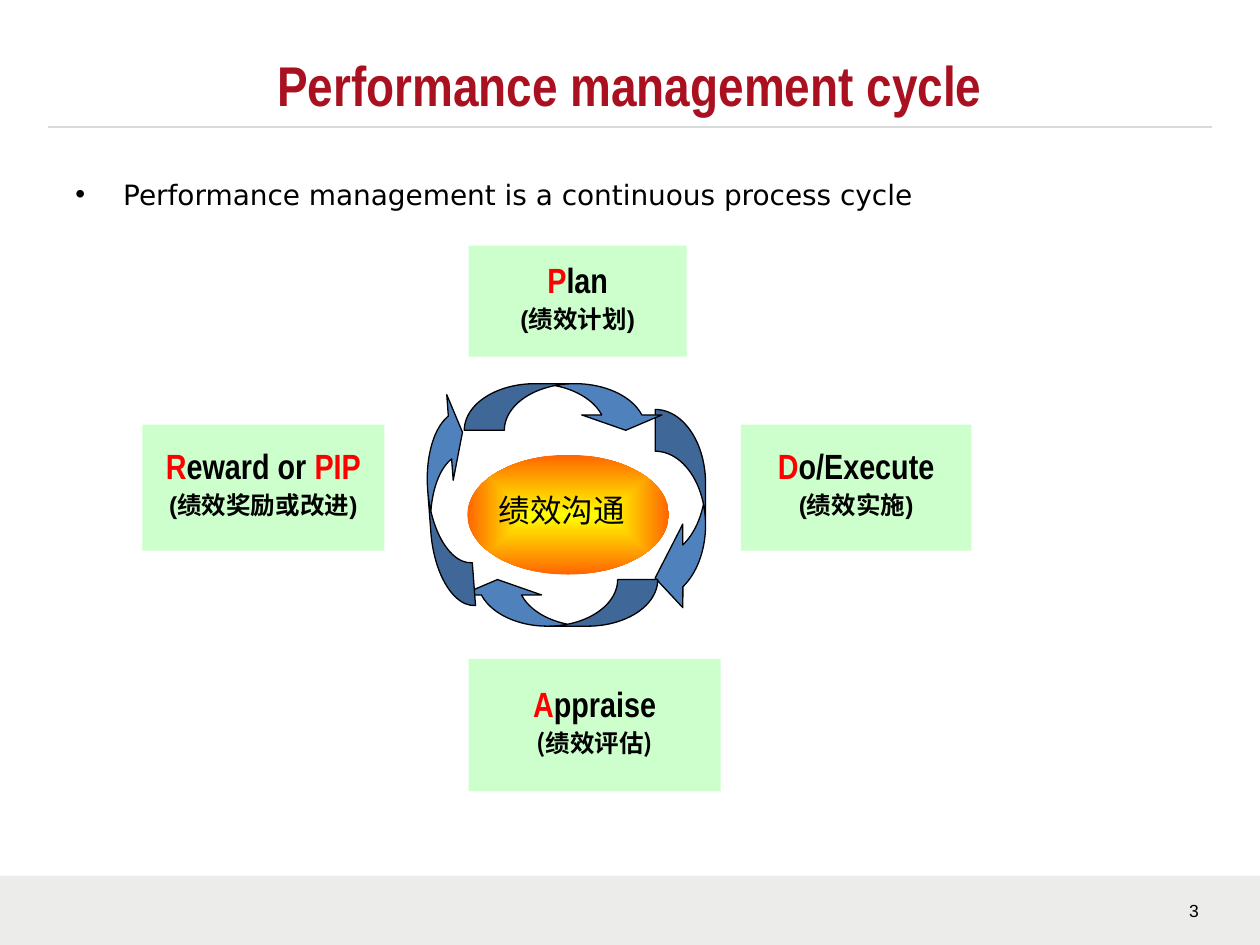
from lxml import etree
from pptx import Presentation
from pptx.dml.color import RGBColor
from pptx.enum import shapes, text
from pptx.oxml.ns import qn
from pptx.util import Inches, Pt

BLACK, RED, GREEN, BLUE = "000000", "FF0000", "CCFFCC", "4F81BD"
HEAD_FONT, CJK_FONT = "Arial Narrow", "Noto Sans CJK SC"


def rgb(value):
    """Turn a hex string into a colour."""
    return RGBColor.from_string(value)


def add_run(p, words, size, font="Arial", color=BLACK, bold=False, ea=CJK_FONT):
    """Append a formatted run to a paragraph."""
    r = p.add_run()
    r.text = words
    f = r.font
    f.size, f.name, f.bold = Pt(size), font, bold
    f.color.rgb = rgb(color)
    etree.SubElement(r._r.get_or_add_rPr(), qn("a:ea"), typeface=ea)


def add_text(s, box, words, size, align=None, anchor=text.MSO_ANCHOR.TOP, **fmt):
    """Add a one-paragraph text box and return the paragraph."""
    tf = s.shapes.add_textbox(*map(Inches, box)).text_frame
    tf.word_wrap = True
    tf.vertical_anchor = anchor
    p = tf.paragraphs[0]
    p.alignment = align
    add_run(p, words, size, **fmt)
    return p


def add_bullet(p, indent):
    """Give a paragraph a hanging bullet."""
    pPr = p._p.get_or_add_pPr()
    pPr.set("marL", str(Inches(indent)))
    pPr.set("indent", str(-Inches(indent)))
    etree.SubElement(pPr, qn("a:buFont"), typeface="Arial")
    etree.SubElement(pPr, qn("a:buChar"), char="•")


def add_shape(s, kind, box, fill=None, line=None):
    """Add a preset shape without shadow."""
    sp = s.shapes.add_shape(kind, *map(Inches, box))
    sp.shadow.inherit = False
    if fill:
        sp.fill.solid()
        sp.fill.fore_color.rgb = rgb(fill)
    if line:
        sp.line.color.rgb = rgb(line)
        sp.line.width = Pt(0.75)
    else:
        sp.line.fill.background()
    return sp


def add_rule(s, x1, x2, y, color):
    """Add a thin horizontal line."""
    ln = s.shapes.add_connector(shapes.MSO_CONNECTOR.STRAIGHT,
                                *map(Inches, (x1, y, x2, y)))
    ln.line.color.rgb = rgb(color)
    ln.line.width = Pt(1)
    etree.SubElement(ln._element.spPr, qn("a:effectLst"))


def add_hub(s, box, inner, outer):
    """Add an ellipse whose gradient runs from its centre outwards."""
    sp = add_shape(s, shapes.MSO_SHAPE.OVAL, box)
    sp.fill.gradient()
    for stop, pos, color in zip(sp.fill.gradient_stops, (0, 1), (inner, outer)):
        stop.position = pos
        stop.color.rgb = rgb(color)
    grad = sp._element.spPr.find(qn("a:gradFill"))
    grad.remove(grad.find(qn("a:lin")))
    shade = etree.SubElement(grad, qn("a:path"), path="shape")
    etree.SubElement(shade, qn("a:fillToRect"),
                     {side: "50000" for side in "ltrb"})


def add_arrow(s, box, rotation, adjustments):
    """Add one curved arrow of the cycle."""
    sp = add_shape(s, shapes.MSO_SHAPE.CURVED_LEFT_ARROW, box, BLUE, BLACK)
    sp.rotation = rotation
    for i, value in enumerate(adjustments):
        sp.adjustments[i] = value


def add_stage(s, box, heading, caption, font="Arial"):
    """Add a green stage box with a two-colour heading and a caption."""
    tf = add_shape(s, shapes.MSO_SHAPE.RECTANGLE, box, GREEN).text_frame
    tf.word_wrap = True
    tf.vertical_anchor = text.MSO_ANCHOR.MIDDLE
    tf.margin_left = tf.margin_right = Inches(0.14)
    tf.margin_top = tf.margin_bottom = Inches(0.17)
    for p, space in ((tf.paragraphs[0], 10), (tf.add_paragraph(), 7)):
        p.alignment = text.PP_ALIGN.CENTER
        p.line_spacing = 0.7
        p.space_before = Pt(space)
    for words, color in heading:
        add_run(tf.paragraphs[0], words, 20, HEAD_FONT, color, True)
    add_run(tf.paragraphs[1], caption, 14, font, bold=True)


def main():
    """Build the performance cycle slide."""
    prs = Presentation()
    prs.slide_width, prs.slide_height = Inches(10), Inches(7.5)
    s = prs.slides.add_slide(prs.slide_layouts[6])

    add_shape(s, shapes.MSO_SHAPE.RECTANGLE, (0, 6.95, 10, 0.55), "ECECEA")
    add_text(s, (9.34, 7.09, 0.6, 0.27), "3", 10)
    add_rule(s, 0.38, 9.62, 1.01, "D9D9D9")
    add_text(s, (0, 0.33, 10, 0.68), "Performance management cycle", 32,
             text.PP_ALIGN.CENTER, text.MSO_ANCHOR.MIDDLE,
             font=HEAD_FONT, color="A91120", bold=True)
    p = add_text(s, (0.5, 1.36, 9, 0.45),
                 "Performance management is a continuous process cycle", 16,
                 font="DejaVu Sans")
    add_bullet(p, 0.38)

    add_hub(s, (3.71, 3.61, 1.6, 0.95), "FFFF00", "FF6600")
    add_text(s, (3.86, 3.85, 1.24, 0.4), "绩效沟通", 18,
             font="Noto Sans CJK JP", ea="Noto Sans CJK JP")

    for box, rotation, adjustments in (
            ((5.2, 3.25, 0.4, 1.67), 0, (0.83, 1.66, 0.55)),
            ((4.24, 3.99, 0.37, 1.59), 90, (0.86, 1.72, 0.33)),
            ((3.4, 3.1, 0.31, 1.72), 175.7, (1.1, 2.2, 0.33)),
            ((4.3, 2.43, 0.37, 1.6), 270, (0.86, 1.72, 0.33))):
        add_arrow(s, box, rotation, adjustments)

    add_stage(s, (3.72, 1.95, 1.73, 0.88),
              (("P", RED), ("lan", BLACK)), "(绩效计划)")
    add_stage(s, (5.88, 3.37, 1.83, 1),
              (("D", RED), ("o/Execute", BLACK)), "(绩效实施)")
    add_stage(s, (3.72, 5.23, 2, 1.05),
              (("A", RED), ("ppraise", BLACK)), "(绩效评估)", CJK_FONT)
    add_stage(s, (1.13, 3.37, 1.92, 1),
              (("R", RED), ("eward or ", BLACK), ("PIP", RED)), "(绩效奖励或改进)")
    prs.save("out.pptx")


if __name__ == "__main__":
    main()
